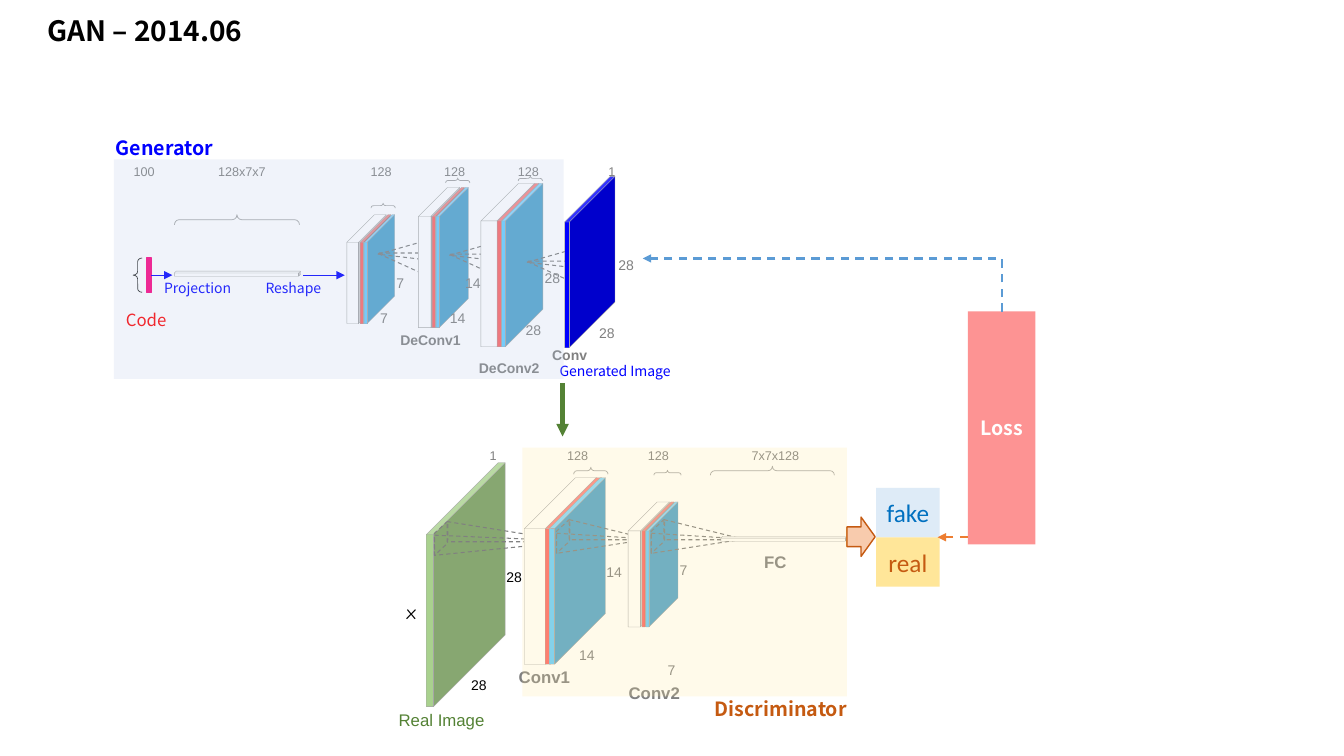
from lxml import etree
from pptx import Presentation
from pptx.dml.color import RGBColor
from pptx.enum.dml import MSO_LINE
from pptx.enum.shapes import MSO_CONNECTOR as LINK, MSO_SHAPE as SHAPE
from pptx.enum.text import MSO_ANCHOR, PP_ALIGN
from pptx.oxml.ns import qn
from pptx.util import Inches, Pt

NOTO, ARIAL = "Noto Sans CJK SC", "Arial"
GRAY, EDGE, BRACE, BLUE, GREEN, BROWN = "808080", "A6A6A6", "A5A5A5", "0000FF", "548235", "C55A11"
LEFT, CENTER, RIGHT = PP_ALIGN.LEFT, PP_ALIGN.CENTER, PP_ALIGN.RIGHT

# text, left, centre y, width, size, colour, alignment
HEADINGS = [
    ("GAN – 2014.06", 0.47, 0.3, 4.77, 20, "000000", LEFT),
    ("Generator", 1.15, 1.46, 1.46, 14, BLUE, LEFT),
    ("Discriminator", 6.94, 7.03, 1.46, 14, BROWN, RIGHT),
]
# centre y -> (text, centre x)
CHANNELS = {
    1.7: [("100", 1.43), ("128x7x7", 2.4), ("128", 3.78), ("128", 4.51), ("128", 5.24), ("1", 6.07)],
    4.52: [("1", 4.89), ("128", 5.73), ("128", 6.53), ("7x7x128", 7.69)],
}
# (text, centre x, centre y)
SIZES = [
    ("7", 3.97, 2.81), ("7", 3.81, 3.15), ("14", 4.69, 2.81), ("14", 4.54, 3.15),
    ("28", 5.48, 2.76), ("28", 5.29, 3.27), ("28", 6.21, 2.63), ("28", 6.02, 3.3),
    ("14", 6.09, 5.67), ("14", 5.82, 6.5), ("7", 6.78, 5.65), ("7", 6.66, 6.65),
]
IMAGE_SIZES = [("28", 5.1, 5.72), ("28", 4.75, 6.79)]
DECONV_NAMES = [("DeConv1", 4.27, 3.37), ("DeConv2", 5.05, 3.65), ("Conv", 5.65, 3.52)]
CONV_NAMES = [("Conv1", 5.4, 6.71), ("Conv2", 6.49, 6.87), ("FC", 7.69, 5.57)]
# text, centre x, centre y, size, colour, font
CAPTIONS = [
    ("Code", 1.45, 3.17, 12, "FF0000", NOTO),
    ("Projection", 1.96, 2.86, 10, BLUE, NOTO),
    ("Reshape", 2.91, 2.86, 10, BLUE, NOTO),
    ("Generated Image", 6.1, 3.68, 10, BLUE, NOTO),
    ("Real Image", 4.38, 7.14, 12, GREEN, ARIAL),
    ("x", 4.08, 6.07, 14, "000000", "Comic Neue"),
]
# centre x, centre y, length, depth
BRACES = [
    (2.35, 2.18, 1.24, 0.1), (3.8, 2.04, 0.24, 0.05), (4.54, 1.79, 0.24, 0.05), (5.26, 1.77, 0.24, 0.05),
    (5.86, 4.67, 0.34, 0.07), (6.62, 4.69, 0.27, 0.05), (7.66, 4.67, 1.23, 0.09),
]
# feature stack (left, top, width, height), window of the next kernel (left, top)
DECONVS = [
    ((3.44, 2.13, 0.39, 1.08), (4.13, 2.47)),
    ((4.15, 1.86, 0.41, 1.39), (4.84, 2.48)),
    ((4.77, 1.82, 0.53, 1.62), (5.61, 2.55)),
]
CONVS = [
    ((5.2, 4.74, 0.72, 1.85), (5.42, 5.24)),
    ((6.23, 4.98, 0.41, 1.24), (6.36, 5.24)),
]
# text, top, fill, text colour
VERDICTS = [("fake", 4.84, "DEEBF7", "0070C0"), ("real", 5.33, "FFE699", BROWN)]

prs = Presentation()
prs.slide_width, prs.slide_height = Inches(13.33), Inches(7.5)
s = prs.slides.add_slide(prs.slide_layouts[6])


def rgb(color):
    return RGBColor.from_string(color)


def style_line(line, color, width, dash):
    line.color.rgb = rgb(color)
    line.width = Pt(width)
    if dash:
        line.dash_style = MSO_LINE.DASH


def shape(kind, x, y, w, h, fill=None, line=None, width=0.25, adj=(), rot=0, alpha=None, dash=False):
    sp = s.shapes.add_shape(kind, Inches(x), Inches(y), Inches(w), Inches(h))
    sp.shadow.inherit = False
    sp.rotation = rot
    for i, value in enumerate(adj):
        sp.adjustments[i] = value
    if fill:
        sp.fill.solid()
        sp.fill.fore_color.rgb = rgb(fill)
    else:
        sp.fill.background()
    if alpha:
        color = sp.fill._xPr.find(qn("a:solidFill"))[0]
        etree.SubElement(color, qn("a:alpha"), val=str(alpha * 1000))
    if line:
        style_line(sp.line, line, width, dash)
    else:
        sp.line.fill.background()
    return sp


def write(sp, text, size, color, font, bold=False, align=CENTER):
    tf = sp.text_frame
    tf.margin_left = tf.margin_right = tf.margin_top = tf.margin_bottom = 0
    tf.vertical_anchor = MSO_ANCHOR.MIDDLE
    tf.word_wrap = True
    tf.text = text
    p = tf.paragraphs[0]
    p.alignment = align
    f = p.runs[0].font
    f.size, f.bold, f.name = Pt(size), bold, font
    f.color.rgb = rgb(color)


def label(text, cx, cy, size, color, font=ARIAL, bold=False, w=1.4, align=CENTER):
    h = size / 40
    box = s.shapes.add_textbox(Inches(cx - w / 2), Inches(cy - h / 2), Inches(w), Inches(h))
    write(box, text, size, color, font, bold, align)


def arrow(x1, y1, x2, y2, color, width, dash=False, kind=LINK.STRAIGHT):
    c = s.shapes.add_connector(kind, Inches(x1), Inches(y1), Inches(x2), Inches(y2))
    style_line(c.line, color, width, dash)
    etree.SubElement(c.line._get_or_add_ln(), qn("a:tailEnd"), type="triangle")
    etree.SubElement(c._element.spPr, qn("a:effectLst"))
    return c


def cube(x, y, w, h, fill, depth):
    shape(SHAPE.CUBE, x, y, w, h, fill, EDGE, adj=[depth])


def stack(x, y, w, h):
    """White block with a red and a blue sheet on its right."""
    cube(x, y, w, h, "FFFFFF", 0.702)
    sheet = w * 0.702 / 0.907
    for shift, fill in ((0.045, "FD6666"), (0.085, "66CCFF")):
        cube(x + w + shift - sheet, y, sheet, h, fill, 0.907)


def cone(x, y, w, rot, sides):
    """Dashed kernel window and the two triangles (dx, dy, reach, apex) that lead from it."""
    dashed = dict(line=GRAY, width=0.75, dash=True)
    shape(SHAPE.PARALLELOGRAM, x, y, w, 0.16, adj=[0.93], rot=rot + 227.2, **dashed)
    for dx, dy, reach, apex in sides:
        shape(SHAPE.ISOSCELES_TRIANGLE, x + dx - 0.1, y + dy - reach / 2, 0.2, reach,
              adj=[apex], rot=rot, **dashed)


def conv_cone(x, y, near, far):
    cone(x, y, 0.33, 90, [(0.225 + near / 2, 0.015, near, 1), (0.1 + far / 2, 0.15, far, 0.29)])


for text, x, cy, w, size, color, align in HEADINGS:
    label(text, x + w / 2, cy, size, color, NOTO, True, w, align)
for cy, row in CHANNELS.items():
    for text, cx in row:
        label(text, cx, cy, 9, GRAY)
for cx, cy, length, depth in BRACES:
    shape(SHAPE.LEFT_BRACE, cx - depth / 2, cy - length / 2, depth, length,
          line=BRACE, width=0.5, adj=[0.466, 0.5], rot=90)

# Generator
code = shape(SHAPE.RECTANGLE, 1.45, 2.56, 0.05, 0.34, "FC0280", "FC0280", 1)
shape(SHAPE.LEFT_BRACE, 1.32, 2.56, 0.09, 0.34, line="262626", width=0.5, adj=[0.402, 0.5])
arrow(1.5, 2.73, 1.71, 2.73, BLUE, 0.5).begin_connect(code, 3)
arrow(3.01, 2.73, 3.42, 2.73, BLUE, 0.5)
cube(1.73, 2.69, 1.25, 0.05, "FFFFFF", 0.364)
for block, window in DECONVS:
    stack(*block)
    cone(*window, 0.18, 270, [(-0.17, 0.14, 0.44, 1), (-0.13, 0.01, 0.5, 0.29)])
cube(5.6, 1.75, 0.5, 1.7, BLUE, 0.907)

# Discriminator
cube(4.23, 4.59, 0.78, 2.42, "A9D18E", 0.911)
conv_cone(4.21, 5.26, 1.25, 1.4)
for block, window in CONVS:
    stack(*block)
    conv_cone(*window, 0.81, 0.92)
cube(7.15, 5.32, 1.25, 0.05, "FFFFFF", 0.364)

for group, size, color, bold in ((SIZES, 10, GRAY, False), (IMAGE_SIZES, 10, "000000", False),
                                 (DECONV_NAMES, 10, GRAY, True), (CONV_NAMES, 12, GRAY, True)):
    for text, cx, cy in group:
        label(text, cx, cy, size, color, bold=bold)
for caption in CAPTIONS:
    label(*caption)

# Verdict and loss
shape(SHAPE.RIGHT_ARROW, 8.4, 5.13, 0.28, 0.39, "F8CBAD", BROWN, 1)
for text, y, fill, color in VERDICTS:
    write(shape(SHAPE.RECTANGLE, 8.69, y, 0.63, 0.49, fill), text, 18, color, "Calibri")
loss = shape(SHAPE.RECTANGLE, 9.6, 3.09, 0.67, 2.31, "FD6666", alpha=70)
write(loss, "Loss", 14, "FFFFFF", NOTO, True)
arrow(9.6, 5.33, 9.3, 5.33, "ED7D31", 1.5, True)
feedback = arrow(7.89, 1.05, 8.42, 4.61, "5B9BD5", 1.5, True, LINK.ELBOW)
feedback._element.spPr.find(qn("a:prstGeom")).set("prst", "bentConnector2")
turn = feedback._element.spPr.find(qn("a:xfrm"))
turn.set("rot", str(270 * 60000))
turn.set("flipV", "1")

shape(SHAPE.RECTANGLE, 1.13, 1.58, 4.46, 2.18, "B4C7E7", alpha=20)
shape(SHAPE.RECTANGLE, 5.18, 4.44, 3.22, 2.47, "FFE699", alpha=20)
arrow(5.58, 3.8, 5.58, 4.33, GREEN, 3)

prs.save("out.pptx")
